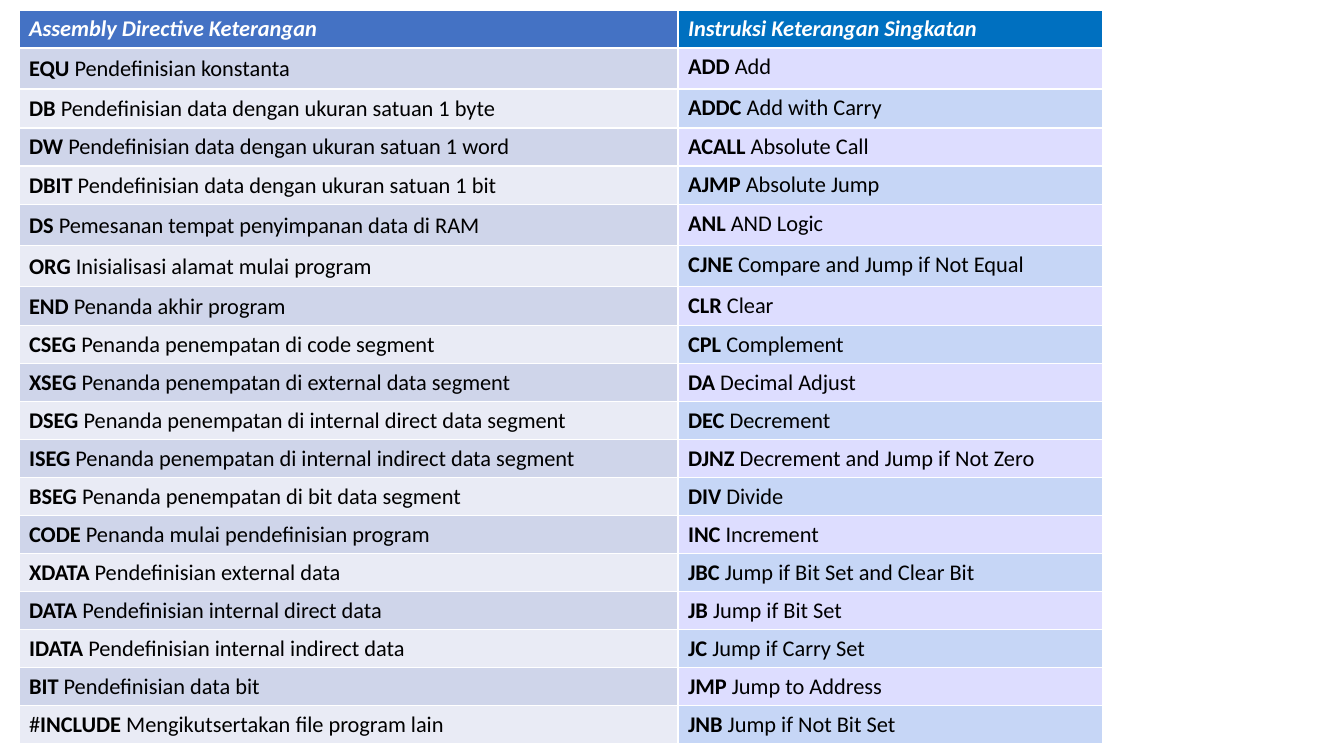
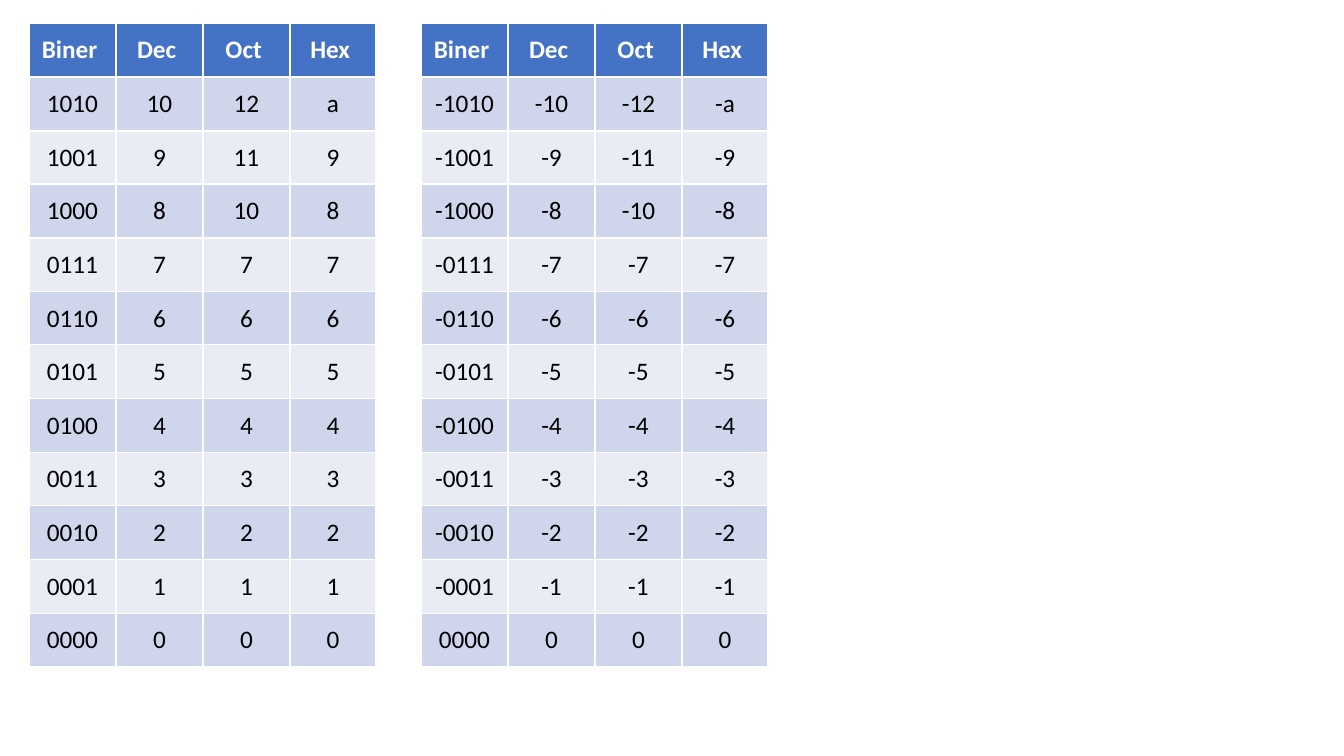
import pptx
import pptx.util
import pptx.dml.color
import pptx.enum.text

RGB = pptx.dml.color.RGBColor
WHITE = RGB(0xFF, 0xFF, 0xFF)
BLACK = RGB(0x00, 0x00, 0x00)
BLUE = RGB(0x44, 0x72, 0xC4)
AZURE = RGB(0x00, 0x70, 0xC0)
SLATE = RGB(0xCF, 0xD5, 0xEA)
PALE = RGB(0xE9, 0xEB, 0xF5)
LILAC = RGB(0xDD, 0xDD, 0xFF)
SKY = RGB(0xC6, 0xD6, 0xF6)
COOL = (BLUE, SLATE, PALE)
BRIGHT = (AZURE, LILAC, SKY)
TOP = pptx.enum.text.MSO_ANCHOR.TOP
MIDDLE = pptx.enum.text.MSO_ANCHOR.MIDDLE
LEFT = pptx.enum.text.PP_ALIGN.LEFT
CENTER = pptx.enum.text.PP_ALIGN.CENTER
SCALE = 914400 / 100.8


def px(count):
    return pptx.util.Emu(round(count * SCALE))


def draw_grid(slide, left, top, widths, heights, lines, tones, size, align, slant, middles):
    frame = slide.shapes.add_table(len(heights), len(widths), px(left), px(top),
                                   px(sum(widths)), px(sum(heights)))
    grid = frame.table
    for col, width in zip(grid.columns, widths):
        col.width = px(width)
    for row, height in zip(grid.rows, heights):
        row.height = px(height)
    for y, line in enumerate(lines):
        for x, text in enumerate(line):
            cell = grid.cell(y, x)
            cell.fill.solid()
            cell.fill.fore_color.rgb = tones[x][0 if y == 0 else 2 - y % 2]
            cell.vertical_anchor = MIDDLE if y < middles[x] else TOP
            para = cell.text_frame.paragraphs[0]
            para.alignment = align
            for part, piece in enumerate(text.split("*")):
                if not piece:
                    continue
                run = para.add_run()
                run.text = piece
                style = {"name": "Calibri", "size": pptx.util.Pt(size),
                         "bold": part % 2 == 1, "italic": slant and y == 0}
                for key, value in style.items():
                    setattr(run.font, key, value)
                run.font.color.rgb = BLACK if y else WHITE


deck = pptx.Presentation()
deck.slide_width = px(1344)
deck.slide_height = px(756)
blank = deck.slide_layouts[6]

codes = [
    ("*Assembly Directive Keterangan*", "*Instruksi Keterangan Singkatan*"),
    ("*EQU* Pendefinisian konstanta", "*ADD* Add"),
    ("*DB* Pendefinisian data dengan ukuran satuan 1 byte", "*ADDC* Add with Carry"),
    ("*DW* Pendefinisian data dengan ukuran satuan 1 word", "*ACALL* Absolute Call"),
    ("*DBIT* Pendefinisian data dengan ukuran satuan 1 bit", "*AJMP* Absolute Jump"),
    ("*DS* Pemesanan tempat penyimpanan data di RAM", "*ANL* AND Logic"),
    ("*ORG* Inisialisasi alamat mulai program", "*CJNE* Compare and Jump if Not Equal"),
    ("*END* Penanda akhir program", "*CLR* Clear"),
    ("*CSEG* Penanda penempatan di code segment", "*CPL* Complement"),
    ("*XSEG* Penanda penempatan di external data segment", "*DA* Decimal Adjust"),
    ("*DSEG* Penanda penempatan di internal direct data segment", "*DEC* Decrement"),
    ("*ISEG* Penanda penempatan di internal indirect data segment",
     "*DJNZ* Decrement and Jump if Not Zero"),
    ("*BSEG* Penanda penempatan di bit data segment", "*DIV* Divide"),
    ("*CODE* Penanda mulai pendefinisian program", "*INC* Increment"),
    ("*XDATA* Pendefinisian external data", "*JBC* Jump if Bit Set and Clear Bit"),
    ("*DATA* Pendefinisian internal direct data", "*JB* Jump if Bit Set"),
    ("*IDATA* Pendefinisian internal indirect data", "*JC* Jump if Carry Set"),
    ("*BIT* Pendefinisian data bit", "*JMP* Jump to Address"),
    ("#*INCLUDE* Mengikutsertakan file program lain", "*JNB* Jump if Not Bit Set"),
]
slide = deck.slides.add_slide(blank)
draw_grid(slide, 19, 10, [659, 425], [38, 41, 39, 38, 39, 41, 41, 39] + [38] * 11,
          codes, [COOL, BRIGHT], 16, LEFT, True, [8, 0])

slide = deck.slides.add_slide(blank)
for left, sign in ((29, ""), (421, "-")):
    lines = [["*Biner *", "*Dec *", "*Oct *", "*Hex *"]]
    for num in range(10, -1, -1):
        mark = sign if num else ""
        lines.append([mark + format(num, base) for base in ("04b", "d", "o", "x")])
    draw_grid(slide, left, 23, [87, 87, 87, 86], [54, 54, 53] * 4,
              lines, [COOL] * 4, 18, CENTER, False, [12] * 4)

deck.save("out.pptx")
